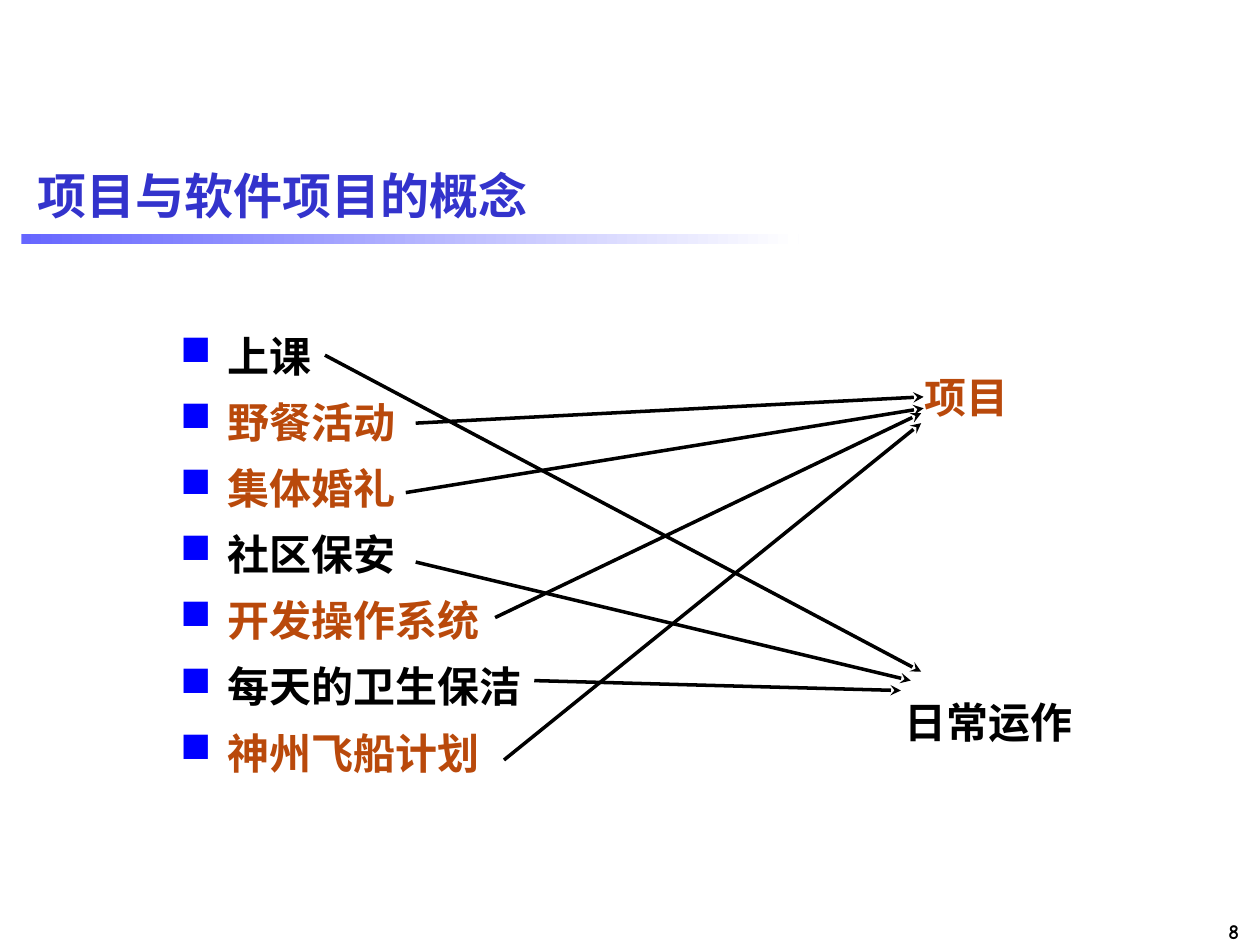
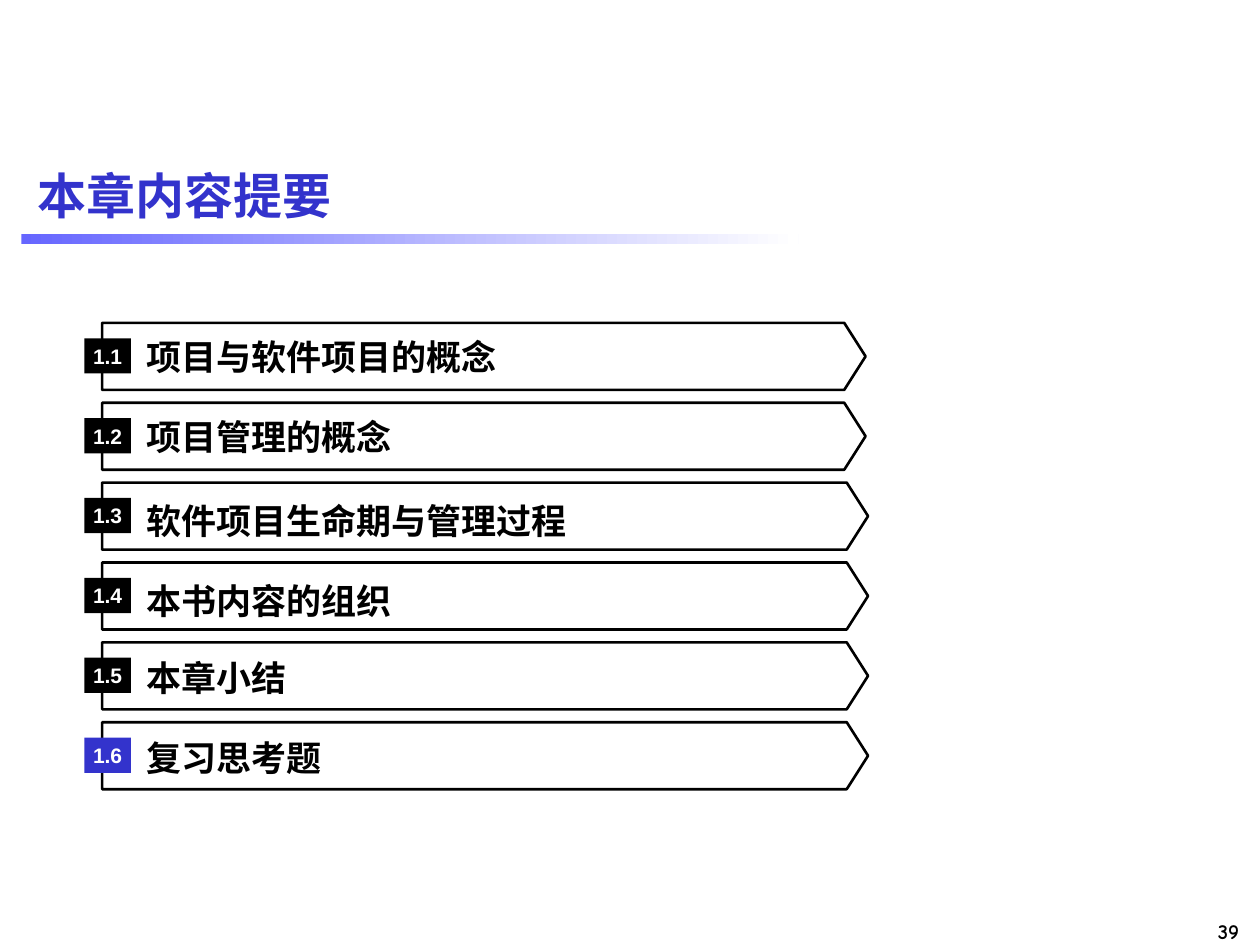
from lxml.etree import SubElement
from pptx import Presentation
from pptx.dml.color import RGBColor
from pptx.enum.shapes import MSO_CONNECTOR, MSO_SHAPE
from pptx.enum.text import MSO_ANCHOR, PP_ALIGN
from pptx.oxml.ns import qn
from pptx.util import Cm, Pt

BLACK, WHITE = "000000", "FFFFFF"
TITLE_BLUE, BAND_BLUE, BULLET_BLUE = "3333CC", "6666FF", "0000FF"
PROJECT_ORANGE = "B9490B"
CHINESE_FONT = "Noto Sans CJK SC"

# activity, colour of its kind, arrow start, arrow end (cm)
ACTIVITIES = [
    ("上课", BLACK, (6.55, 7.16), (18.57, 13.54)),
    ("野餐活动", PROJECT_ORANGE, (8.38, 8.53), (18.62, 8.0)),
    ("集体婚礼", PROJECT_ORANGE, (8.18, 9.93), (18.62, 8.23)),
    ("社区保安", BLACK, (8.38, 11.33), (18.36, 13.72)),
    ("开发操作系统", PROJECT_ORANGE, (9.98, 12.45), (18.57, 8.33)),
    ("每天的卫生保洁", BLACK, (10.77, 13.72), (18.16, 13.92)),
    ("神州飞船计划", PROJECT_ORANGE, (10.16, 15.32), (18.57, 8.53)),
]

# heading, right tip of its banner, drop of the text below the middle (cm)
SECTIONS = [
    ("项目与软件项目的概念", 17.45, 0),
    ("项目管理的概念", 17.45, 0),
    ("软件项目生命期与管理过程", 17.5, 0.09),
    ("本书内容的组织", 17.5, 0.09),
    ("本章小结", 17.5, 0.03),
    ("复习思考题", 17.5, 0.03),
]
CURRENT_SECTION = 6


def colour(hex_code):
    return RGBColor.from_string(hex_code)


def style(paragraph, size, font_name, hex_code):
    font = paragraph.font
    font.size, font.bold, font.name = Pt(size), True, font_name
    font.color.rgb = colour(hex_code)
    defaults = paragraph._p.pPr.find(qn("a:defRPr"))
    SubElement(defaults, qn("a:ea"), typeface=CHINESE_FONT)


def prepare_frame(shape, anchor, margins=True):
    frame = shape.text_frame
    frame.word_wrap = True
    frame.vertical_anchor = anchor
    if not margins:
        frame.margin_left = frame.margin_right = 0
        frame.margin_top = frame.margin_bottom = 0
    return frame


def add_text(page, text, left, top, width, height, size, font_name,
             hex_code=BLACK, align=PP_ALIGN.LEFT, anchor=MSO_ANCHOR.TOP,
             margins=True):
    box = page.shapes.add_textbox(Cm(left), Cm(top), Cm(width), Cm(height))
    paragraph = prepare_frame(box, anchor, margins).paragraphs[0]
    paragraph.text = text
    paragraph.alignment = align
    style(paragraph, size, font_name, hex_code)


def add_rectangle(page, left, top, width, height):
    shape = page.shapes.add_shape(MSO_SHAPE.RECTANGLE, Cm(left), Cm(top),
                                  Cm(width), Cm(height))
    shape.shadow.inherit = False
    shape.line.fill.background()
    return shape


def add_page(deck, title, number):
    """Add a slide with the shared title, gradient band and page number."""
    page = deck.slides.add_slide(deck.slide_layouts[6])
    add_text(page, str(number), 22.89, 18.39, 2.34, 0.76, 12, "Comic Neue",
             align=PP_ALIGN.RIGHT)
    band = add_rectangle(page, 0.43, 4.72, 15.67, 0.2)
    band.fill.gradient()
    band.fill.gradient_angle = 0
    for stop, hex_code in zip(band.fill.gradient_stops, (BAND_BLUE, WHITE)):
        stop.color.rgb = colour(hex_code)
    add_text(page, title, 0.51, 2.92, 24.41, 2.01, 28, "Arial", TITLE_BLUE,
             anchor=MSO_ANCHOR.MIDDLE)
    return page


def add_square_bullet(paragraph):
    properties = paragraph._p.get_or_add_pPr()
    properties.set("marL", str(Cm(0.95)))
    properties.set("indent", str(-Cm(0.95)))
    bullet_colour = SubElement(properties, qn("a:buClr"))
    SubElement(bullet_colour, qn("a:srgbClr"), val=BULLET_BLUE)
    SubElement(properties, qn("a:buChar"), char="■")


def add_activity_list(page):
    box = page.shapes.add_textbox(Cm(3.38), Cm(6.53), Cm(8.89), Cm(11.43))
    frame = prepare_frame(box, MSO_ANCHOR.TOP)
    for index, (activity, hex_code, _, _) in enumerate(ACTIVITIES):
        paragraph = frame.add_paragraph() if index else frame.paragraphs[0]
        paragraph.text = activity
        if index:
            paragraph.space_before = Pt(9)
        add_square_bullet(paragraph)
        style(paragraph, 24, CHINESE_FONT, hex_code)


def add_arrow(page, start, end):
    arrow = page.shapes.add_connector(
        MSO_CONNECTOR.STRAIGHT, *(Cm(value) for value in start + end))
    arrow.line.color.rgb = colour(BLACK)
    arrow.line.width = Pt(2)
    SubElement(arrow.line._get_or_add_ln(), qn("a:tailEnd"), type="stealth")
    SubElement(arrow._element.spPr, qn("a:effectLst"))


def add_banner(page, left, top, tip, height):
    """Draw an outlined bar whose right end is a point."""
    shoulder = tip - 0.43
    points = [(shoulder, top), (tip, top + height / 2),
              (shoulder, top + height), (left, top + height)]
    builder = page.shapes.build_freeform(Cm(left), Cm(top))
    builder.add_line_segments([(Cm(x), Cm(y)) for x, y in points])
    banner = builder.convert_to_shape()
    banner.shadow.inherit = False
    banner.fill.background()
    banner.line.color.rgb = colour(BLACK)
    banner.line.width = Pt(1.5)


def add_badge(page, text, left, top, hex_code):
    badge = add_rectangle(page, left, top, 0.94, 0.71)
    badge.fill.solid()
    badge.fill.fore_color.rgb = colour(hex_code)
    paragraph = prepare_frame(badge, MSO_ANCHOR.MIDDLE, False).paragraphs[0]
    paragraph.text = text
    paragraph.alignment = PP_ALIGN.CENTER
    style(paragraph, 12, "Arial", WHITE)


def build_concept_page(deck):
    page = add_page(deck, "项目与软件项目的概念", 8)
    add_text(page, "日常运作", 17.98, 13.92, 5.51, 1.27, 24, "Arial Narrow")
    add_text(page, "项目", 18.39, 7.37, 5.51, 1.27, 24, "Arial Narrow",
             PROJECT_ORANGE)
    add_activity_list(page)
    for _, _, start, end in ACTIVITIES:
        add_arrow(page, start, end)


def build_summary_page(deck):
    page = add_page(deck, "本章内容提要", 39)
    first_top, pitch, height = 6.51, 1.61, 1.35
    for number, (heading, tip, drop) in enumerate(SECTIONS, start=1):
        top = first_top + (number - 1) * pitch
        add_banner(page, 2.06, top, tip, height)
        add_text(page, heading, 2.95, top + drop, 13.5, height, 20,
                 "Times New Roman", anchor=MSO_ANCHOR.MIDDLE, margins=False)
        add_badge(page, f"1.{number}", 1.7, top + 0.31,
                  TITLE_BLUE if number == CURRENT_SECTION else BLACK)


def main():
    deck = Presentation()
    deck.slide_width, deck.slide_height = Cm(25.4), Cm(19.05)
    build_concept_page(deck)
    build_summary_page(deck)
    deck.save("out.pptx")


if __name__ == "__main__":
    main()
